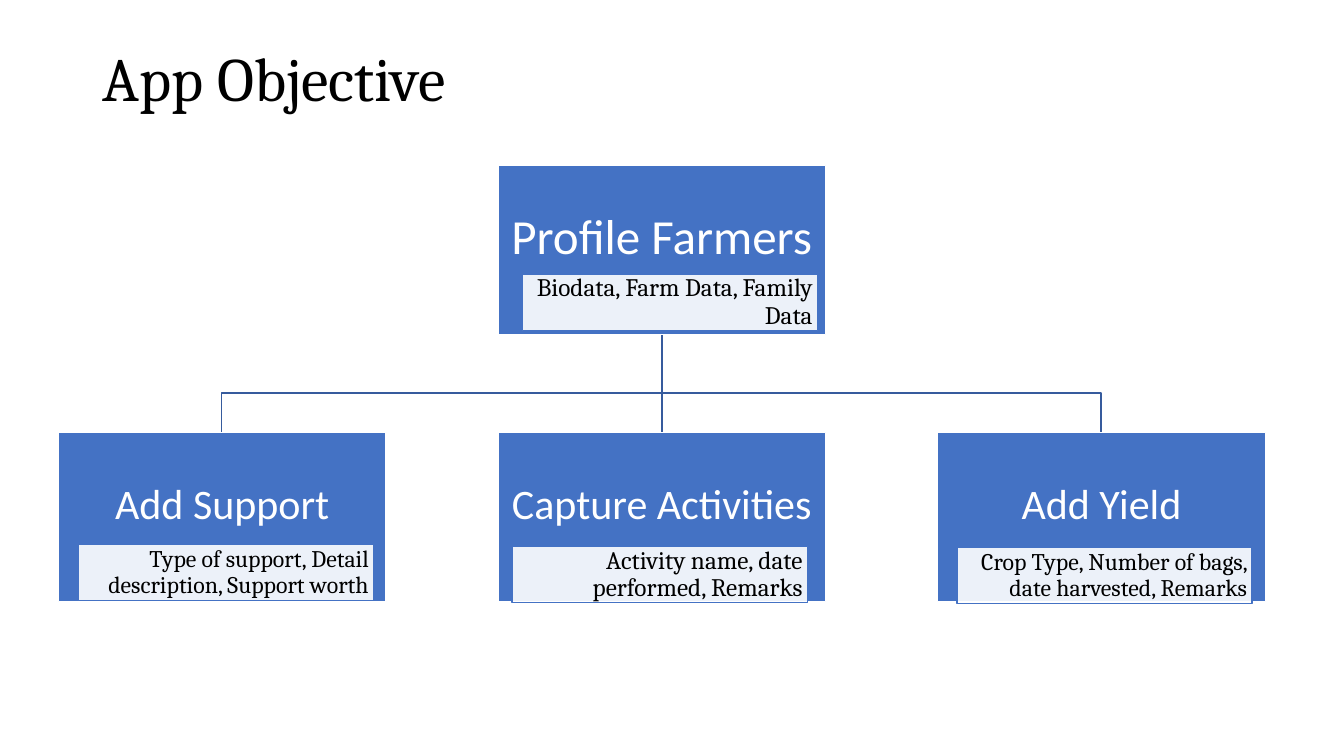
from lxml import etree
from pptx import Presentation, util as u
from pptx.dml.color import RGBColor
from pptx.enum import shapes, text
from pptx.oxml.ns import qn

PX = 9144  # 100 px to the inch
BLUE, LINE_BLUE, WHITE, BLACK = "4472C4", "365B9D", "FFFFFF", "000000"
BOX_W, BOX_H, NOTE_W, NOTE_H = 325, 168, 293, 56
LEFT, STEP, TOP_Y, ROW_Y, BUS_Y = 58, 436, 164, 429, 390


def rgb(value):
    return RGBColor.from_string(value)


def write(sp, content, font, size, color, align, margins):
    """Fill a shape with one vertically centred paragraph; margins are left, top, right, bottom."""
    tf = sp.text_frame
    frame = dict(zip(("margin_left", "margin_top", "margin_right", "margin_bottom"),
                     (m * PX for m in margins)),
                 word_wrap=True, vertical_anchor=text.MSO_ANCHOR.MIDDLE)
    for name, value in frame.items():
        setattr(tf, name, value)
    p = tf.paragraphs[0]
    p.alignment, p.line_spacing = align, 0.9
    r = p.add_run()
    r.text = content
    for name, value in {"name": font, "size": u.Pt(size)}.items():
        setattr(r.font, name, value)
    r.font.color.rgb = rgb(color)


prs = Presentation()
prs.slide_width, prs.slide_height = 1333 * PX, 750 * PX
s = prs.slides.add_slide(prs.slide_layouts[6])

title = s.shapes.add_textbox(92 * PX, 40 * PX, 1150 * PX, 82 * PX)
write(title, "App Objective", "Cambria", 44, BLACK, text.PP_ALIGN.LEFT, (10, 5, 10, 5))

# Branches from the top box to the outer boxes, and a straight one to the middle box
columns = [LEFT + i * STEP for i in range(3)]
mid_x = columns[1] + BOX_W // 2
top_bottom = TOP_Y + BOX_H
for column in (columns[2], columns[0]):
    end_x = column + BOX_W // 2
    fb = s.shapes.build_freeform(mid_x, top_bottom, scale=PX)
    fb.add_line_segments([(mid_x, BUS_Y), (end_x, BUS_Y), (end_x, ROW_Y)], close=False)
    branch = fb.convert_to_shape()
    branch.shadow.inherit = False
    branch.fill.background()
    branch.line.color.rgb, branch.line.width = rgb(LINE_BLUE), u.Pt(1)

stem = s.shapes.add_connector(shapes.MSO_CONNECTOR.STRAIGHT,
                              mid_x * PX, top_bottom * PX, mid_x * PX, ROW_Y * PX)
stem.line.color.rgb, stem.line.width = rgb(LINE_BLUE), u.Pt(1)
etree.SubElement(stem._element.spPr, qn("a:effectLst"))

# Heading, its size, box x and y, note, its size, note x and y
cards = [
    ("Profile Farmers", 35, columns[1], TOP_Y, "Biodata, Farm Data, Family Data", 18, 518, 272),
    ("Add Support", 30, columns[0], ROW_Y,
     "Type of support, Detail description, Support worth", 17, 78, 540),
    ("Capture Activities", 30, columns[1], ROW_Y,
     "Activity name, date performed, Remarks", 18, 508, 542),
    ("Add Yield", 30, columns[2], ROW_Y,
     "Crop Type, Number of bags, date harvested, Remarks", 17, 949, 543),
]
boxes = {}
for heading, size, x, y, note, note_size, note_x, note_y in cards:
    for content, area, fill, line in (
            (heading, (x, y, BOX_W, BOX_H), BLUE, WHITE),
            (note, (note_x, note_y, NOTE_W, NOTE_H), WHITE, BLUE)):
        sp = s.shapes.add_shape(shapes.MSO_SHAPE.RECTANGLE, *(v * PX for v in area))
        sp.shadow.inherit = False
        sp.fill.solid()
        sp.fill.fore_color.rgb = rgb(fill)
        sp.line.color.rgb, sp.line.width = rgb(line), u.Pt(1)
        if content == heading:
            boxes[heading] = sp
            write(sp, heading, "Calibri", size, WHITE, text.PP_ALIGN.CENTER, (2, 2, 2, 24))
        else:
            color = sp._element.spPr.find(qn("a:solidFill"))[0]
            etree.SubElement(color, qn("a:alpha"), val="90000")
            write(sp, note, "Cambria", note_size, BLACK, text.PP_ALIGN.RIGHT, (5, 1, 5, 1))

stem.begin_connect(boxes["Profile Farmers"], 2)
stem.end_connect(boxes["Capture Activities"], 0)

prs.save("out.pptx")
